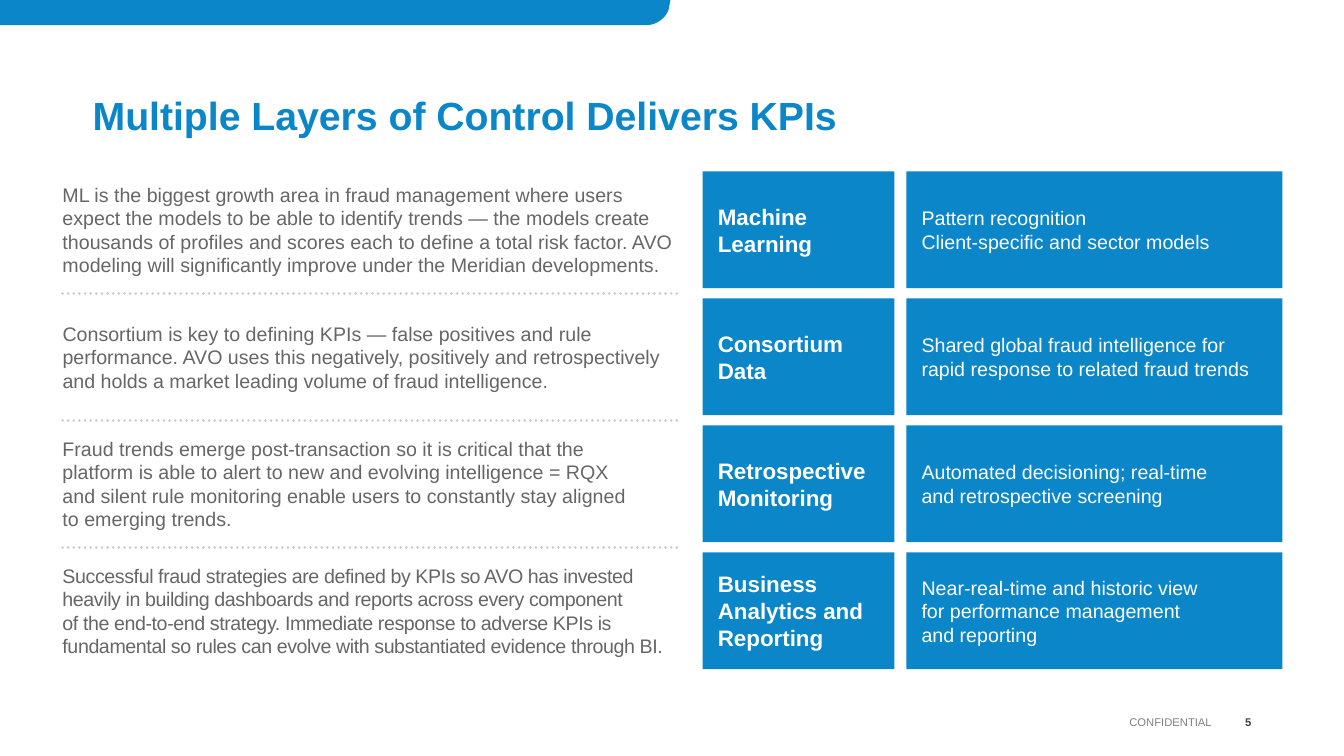
"""Build the slide on control layers and the KPIs they deliver."""
from pptx import Presentation
from pptx.dml.color import RGBColor
from pptx.enum.dml import MSO_LINE
from pptx.enum.shapes import MSO_CONNECTOR, MSO_SHAPE
from pptx.enum.text import MSO_ANCHOR as ANCHOR, PP_ALIGN as ALIGN
from pptx.util import Inches, Pt
from lxml.etree import SubElement
from pptx.oxml.ns import qn

TITLE = "Multiple Layers of Control Delivers KPIs"
FOOTER, PAGE = "CONFIDENTIAL", "5"
# name, benefit, commentary, commentary width, commentary lines, letter spacing
LAYERS = [
    ("Machine Learning",
     "Pattern recognition\nClient-specific and sector models",
     "ML is the biggest growth area in fraud management where users expect the models "
     "to be able to identify trends — the models create thousands of profiles and scores "
     "each to define a total risk factor. AVO modeling will significantly improve under "
     "the Meridian developments.", 6.1, 4, 0),
    ("Consortium Data",
     "Shared global fraud intelligence for rapid response to related fraud trends",
     "Consortium is key to defining KPIs — false positives and rule performance. AVO uses "
     "this negatively, positively and retrospectively and holds a market leading volume "
     "of fraud intelligence.", 6.15, 3, 0),
    ("Retrospective Monitoring",
     "Automated decisioning; real-time\nand retrospective screening",
     "Fraud trends emerge post-transaction so it is critical that the\n"
     "platform is able to alert to new and evolving intelligence = RQX\n"
     "and silent rule monitoring enable users to constantly stay aligned\n"
     "to emerging trends.", 6.1, 4, 0),
    ("Business Analytics and Reporting",
     "Near-real-time and historic view\nfor performance management\nand reporting",
     "Successful fraud strategies are defined by KPIs so AVO has invested heavily in "
     "building dashboards and reports across every component\n"
     "of the end-to-end strategy. Immediate response to adverse KPIs is fundamental so "
     "rules can evolve with substantiated evidence through BI.", 6.16, 4, -30),
]
COLORS = {"blue": "0A86C9", "white": "FFFFFF", "body": "666666", "dots": "CCCCCC",
          "page": "404040", "footer": "808080"}
FONT = "Arial"
TOP, ROW, GAP = 1.7, 1.16, 0.1
NOTE_X, NAME_X, BENEFIT_X = 0.62, 6.97, 8.99
NOTE_W, NAME_W, BENEFIT_W = 6.1, 1.9, 3.73
LINE_H = 0.235
BAND_W, BAND_H = 6.65, 0.25
BAND_CURVE = [(6.63, 0.1), (6.6, 0.18), (6.51, BAND_H), (6.41, BAND_H)]
CURVE_STEPS = 12


def rgb(name):
    return RGBColor.from_string(COLORS[name])


def paint(sp):
    sp.shadow.inherit = False
    sp.fill.solid()
    sp.fill.fore_color.rgb = rgb("blue")
    sp.line.fill.background()


def write(sp, text, size, color, bold=False, align=ALIGN.LEFT, anchor=ANCHOR.MIDDLE,
          inset=(0, 0), after=0, leading=None, spacing=0):
    tf = sp.text_frame
    tf.word_wrap = True
    tf.vertical_anchor = anchor
    tf.margin_left = tf.margin_right = Inches(inset[0])
    tf.margin_top = tf.margin_bottom = Inches(inset[1])
    p = tf.paragraphs[0]
    p.alignment = align
    p.space_after = Pt(after)
    if leading:
        p.line_spacing = leading
    for i, line in enumerate(text.split("\n")):
        if i:
            p.add_line_break()
        r = p.add_run()
        r.text = line
        r.font.name, r.font.size, r.font.bold = FONT, Pt(size), bold
        r.font.color.rgb = rgb(color)
        if spacing:
            r.font._element.set("spc", str(spacing))


def add_text(s, box, *args, **style):
    write(s.shapes.add_textbox(*map(Inches, box)), *args, **style)


def add_tile(s, x, y, w, *args, **style):
    sp = s.shapes.add_shape(MSO_SHAPE.RECTANGLE, *map(Inches, (x, y, w, ROW)))
    paint(sp)
    write(sp, *args, inset=(0.15, 0.1), **style)


def add_dots(s, y):
    line = s.shapes.add_connector(
        MSO_CONNECTOR.STRAIGHT, *map(Inches, (NOTE_X, y, NOTE_X + NOTE_W, y)))
    line.line.color.rgb = rgb("dots")
    line.line.width = Pt(2)
    line.line.dash_style = MSO_LINE.ROUND_DOT
    line._element.spPr.find(qn("a:ln")).set("cap", "rnd")
    SubElement(line._element.spPr, qn("a:effectLst"))


def bezier(points, t):
    weights = ((1 - t) ** 3, 3 * t * (1 - t) ** 2, 3 * t * t * (1 - t), t ** 3)
    return tuple(sum(w * pt[k] for w, pt in zip(weights, points)) for k in (0, 1))


def add_band(s):
    curve = [bezier(BAND_CURVE, i / CURVE_STEPS) for i in range(CURVE_STEPS + 1)]
    corners = [(BAND_W, 0), *curve, (0, BAND_H)]
    band = s.shapes.build_freeform(0, 0, scale=1.0)
    band.add_line_segments([(Inches(x), Inches(y)) for x, y in corners], close=True)
    paint(band.convert_to_shape())


def main():
    prs = Presentation()
    prs.slide_width, prs.slide_height = Inches(13.33), Inches(7.5)
    s = prs.slides.add_slide(prs.slide_layouts[6])
    add_band(s)
    add_text(s, (0.92, 0.79, 11.5, 0.59), TITLE, 28, "blue", bold=True,
             anchor=ANCHOR.BOTTOM, leading=0.9)
    for i, (name, benefit, note, width, lines, spacing) in enumerate(LAYERS):
        y = TOP + i * (ROW + GAP)
        height = lines * LINE_H
        add_text(s, (NOTE_X, y + (ROW - height) / 2, width, height), note, 14, "body",
                 after=24, spacing=spacing)
        add_tile(s, NAME_X, y, NAME_W, name, 16, "white", bold=True)
        add_tile(s, BENEFIT_X, y, BENEFIT_W, benefit, 14, "white", after=24)
        if i:
            add_dots(s, y - GAP / 2)
    add_text(s, (4.78, 7.06, 7.24, 0.2), FOOTER, 8, "footer", align=ALIGN.RIGHT)
    add_text(s, (12.02, 7.06, 0.39, 0.2), PAGE, 8, "page", bold=True, align=ALIGN.RIGHT)
    prs.save("out.pptx")


if __name__ == "__main__":
    main()
